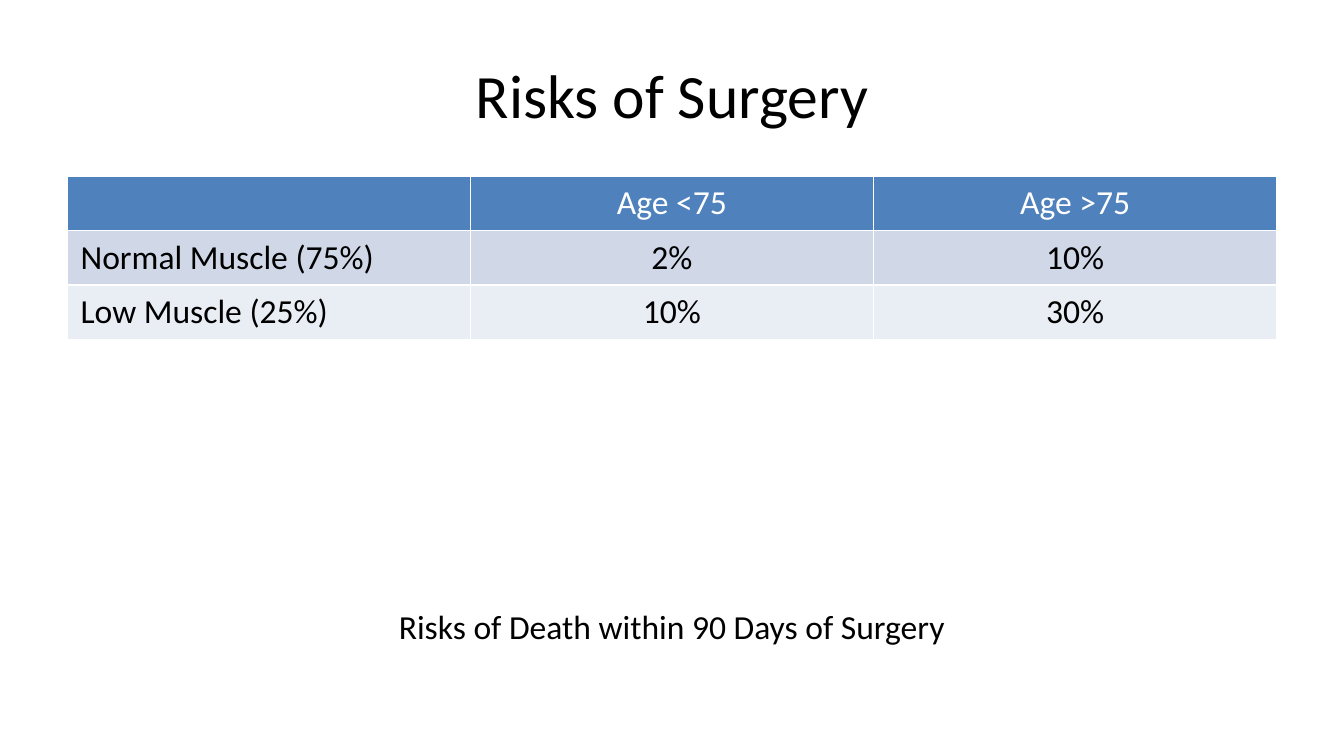
from pptx import Presentation
from pptx.dml.color import RGBColor
from pptx.enum.text import MSO_ANCHOR, PP_ALIGN
from pptx.util import Inches, Pt

TITLE = "Risks of Surgery"
CAPTION = "Risks of Death within 90 Days of Surgery"
RISKS = [
    ("", "Age <75", "Age >75"),
    ("Normal Muscle (75%)", "2%", "10%"),
    ("Low Muscle (25%)", "10%", "30%"),
]

FONT = "Calibri"
BLACK = RGBColor(0x00, 0x00, 0x00)
WHITE = RGBColor(0xFF, 0xFF, 0xFF)
ROW_FILLS = [
    RGBColor(0x4F, 0x81, 0xBD),
    RGBColor(0xD0, 0xD8, 0xE8),
    RGBColor(0xE9, 0xED, 0xF4),
]

SLIDE_W = Inches(10)
SLIDE_H = SLIDE_W * 9 // 16
MARGIN = Inches(0.5)
CONTENT_W = SLIDE_W - 2 * MARGIN
ROW_H = Inches(0.4)


def write(frame, text, size, color=BLACK, align=PP_ALIGN.CENTER):
    frame.text = text
    paragraph = frame.paragraphs[0]
    paragraph.alignment = align
    for run in paragraph.runs:
        run.font.name = FONT
        run.font.size = Pt(size)
        run.font.bold = False
        run.font.color.rgb = color


def add_title(slide):
    title = slide.shapes.title
    title.left, title.top = MARGIN, Inches(0.23)
    title.width, title.height = CONTENT_W, Inches(0.94)
    title.text_frame.vertical_anchor = MSO_ANCHOR.MIDDLE
    write(title.text_frame, TITLE, 33)


def add_risk_table(slide):
    """White cell borders come from the default table style."""
    risk_table = slide.shapes.add_table(
        len(RISKS), len(RISKS[0]), MARGIN, Inches(1.31),
        CONTENT_W, ROW_H * len(RISKS)).table
    for r, (risks, row_fill) in enumerate(zip(RISKS, ROW_FILLS)):
        for c, risk in enumerate(risks):
            cell = risk_table.cell(r, c)
            cell.fill.solid()
            cell.fill.fore_color.rgb = row_fill
            write(cell.text_frame, risk, 18,
                  WHITE if r == 0 else BLACK,
                  PP_ALIGN.LEFT if c == 0 else PP_ALIGN.CENTER)


def add_caption(slide):
    caption = slide.shapes.add_textbox(MARGIN, Inches(4.46), CONTENT_W, Inches(0.56))
    caption.text_frame.word_wrap = True
    write(caption.text_frame, CAPTION, 18)


def main():
    deck = Presentation()
    deck.slide_width, deck.slide_height = SLIDE_W, SLIDE_H
    slide = deck.slides.add_slide(deck.slide_layouts.get_by_name("Title Only"))
    add_title(slide)
    add_risk_table(slide)
    add_caption(slide)
    deck.save("out.pptx")


if __name__ == "__main__":
    main()
